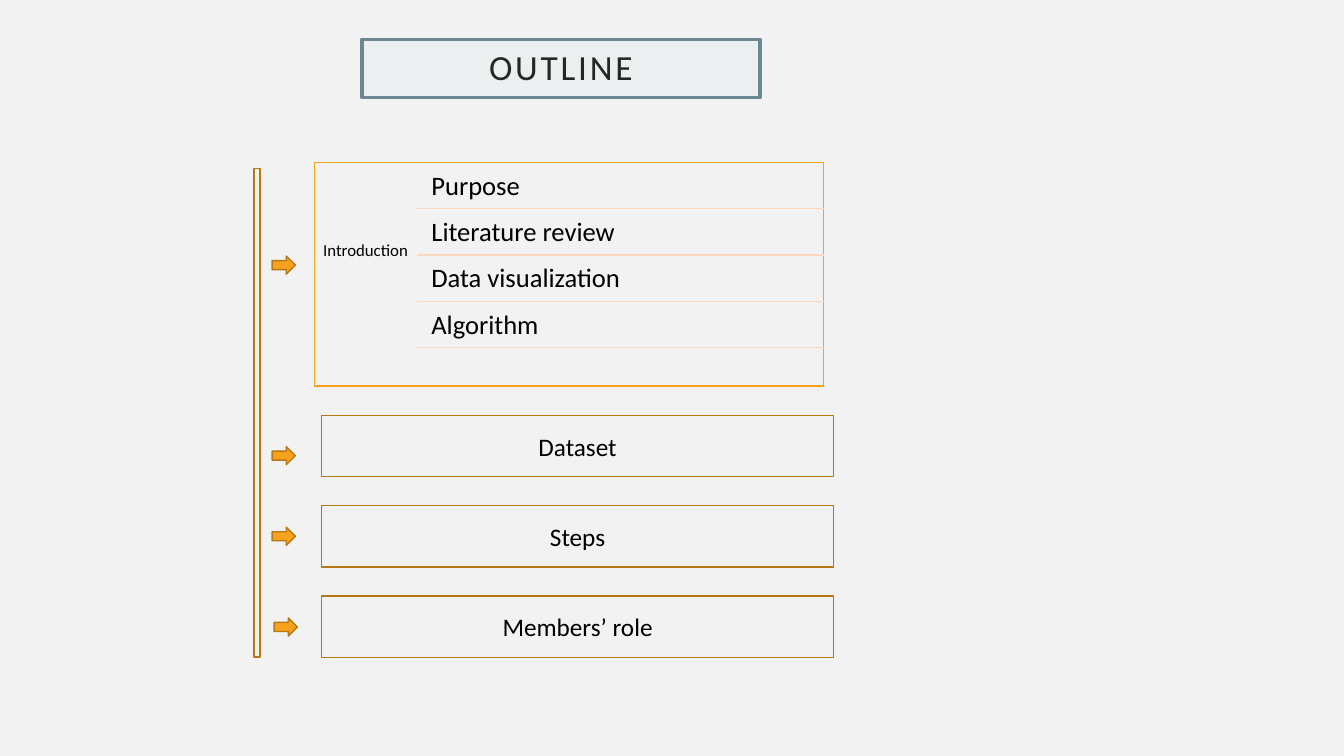
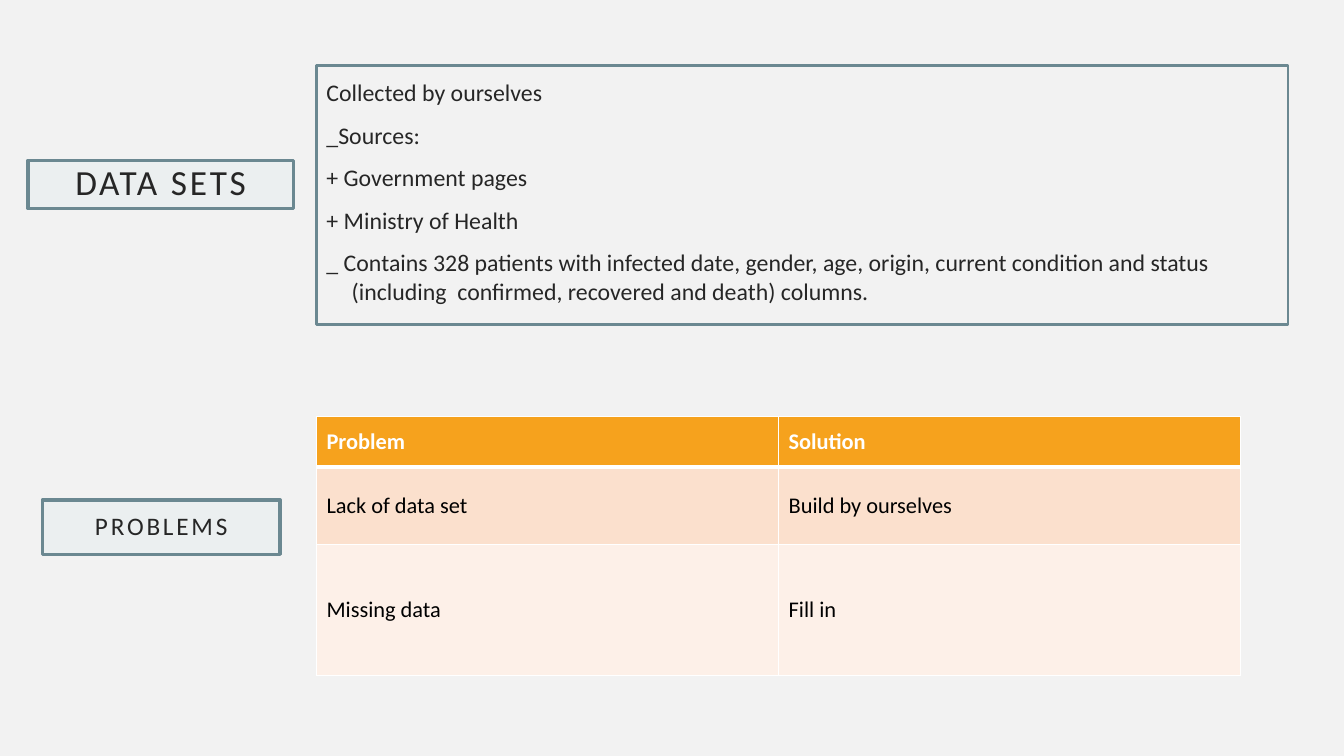
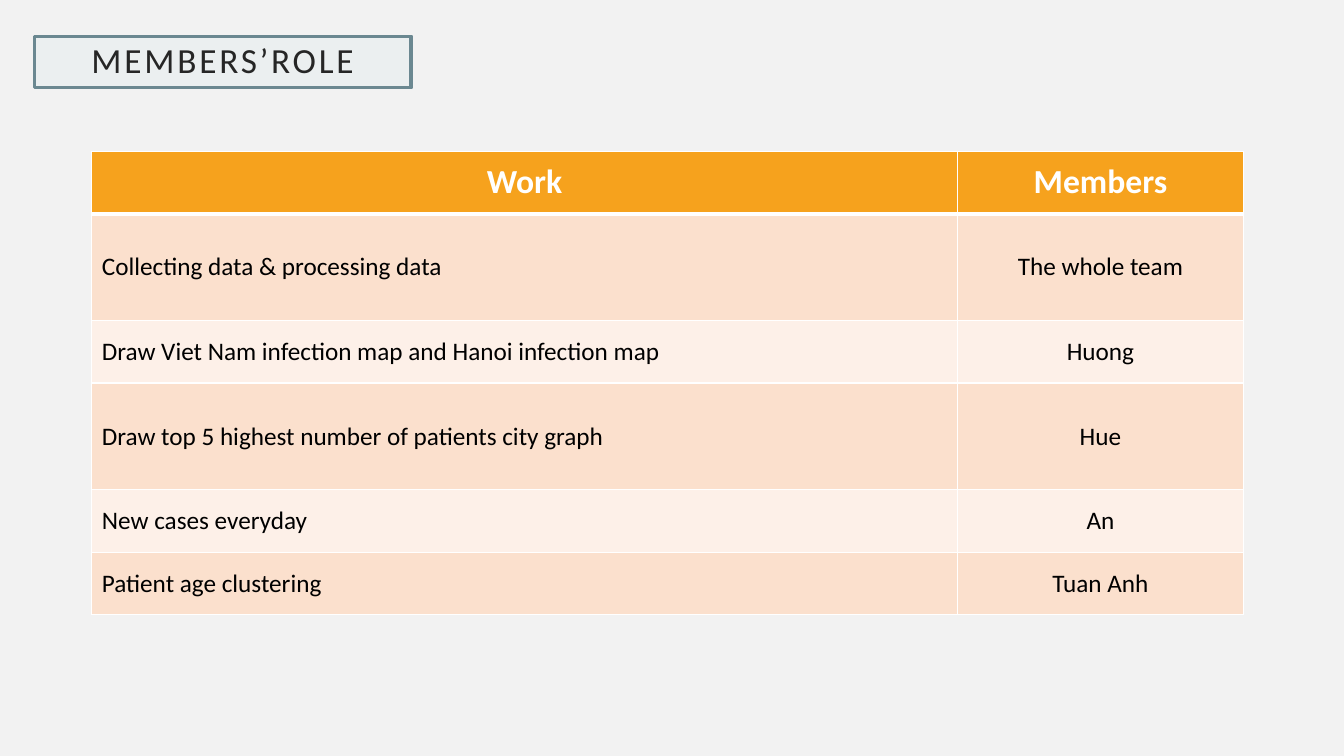
from lxml import etree
from pptx import Presentation
from pptx.dml.color import RGBColor
from pptx.enum.shapes import MSO_CONNECTOR, MSO_SHAPE
from pptx.enum.text import MSO_ANCHOR, PP_ALIGN
from pptx.oxml.ns import qn
from pptx.util import Emu, Inches, Pt

RECT, ARROW = MSO_SHAPE.RECTANGLE, MSO_SHAPE.RIGHT_ARROW
STRAIGHT = MSO_CONNECTOR.STRAIGHT
MIDDLE, TOP = MSO_ANCHOR.MIDDLE, MSO_ANCHOR.TOP
LEFT, CENTER = PP_ALIGN.LEFT, PP_ALIGN.CENTER

FONT = "Calibri"
PAPER, WHITE, BLACK, INK = "F2F2F2", "FFFFFF", "000000", "262626"
SLATE, MIST = "6B8891", "EBEFF0"
ORANGE, BROWN, PEACH = "F6A21D", "B67815", "FBD7BD"
BANDS = ["FDF0E8", "FBE0CD"]

prs = Presentation()
prs.slide_width, prs.slide_height = Inches(13.33), Inches(7.5)
# Every slide is a grid of 100 columns by 100 rows
COL, ROW = prs.slide_width / 100, prs.slide_height / 100


def rgb(hex_colour):
    return RGBColor.from_string(hex_colour)


def box(slide, area, lines=(), kind=RECT, fill=None, line=None, weight=1,
        size=18, colour=BLACK, tracking=0, frame=None, paragraph=None):
    """Add a shape, or a plain text box if kind is None; area is in grid units."""
    x, y, w, h = area
    place = [Emu(int(n)) for n in (x * COL, y * ROW, w * COL, h * ROW)]
    if kind is None:
        shape = slide.shapes.add_textbox(*place)
    else:
        shape = slide.shapes.add_shape(kind, *place)
        shape.shadow.inherit = False
    for paint, tint in ((shape.fill, fill), (shape.line.fill, line)):
        if tint:
            paint.solid()
            paint.fore_color.rgb = rgb(tint)
        else:
            paint.background()
    if line:
        shape.line.width = Pt(weight)
    text = shape.text_frame
    for name, value in {"word_wrap": True, "vertical_anchor": MIDDLE, **(frame or {})}.items():
        setattr(text, name, value)
    for i, words in enumerate(lines):
        para = text.add_paragraph() if i else text.paragraphs[0]
        for name, value in {"alignment": CENTER, **(paragraph or {})}.items():
            setattr(para, name, value)
        run = para.add_run()
        run.text = words
        for name, value in {"name": FONT, "size": Pt(size)}.items():
            setattr(run.font, name, value)
        run.font.color.rgb = rgb(colour)
        if tracking:
            run.font._element.set("spc", str(tracking))
    return shape


# Shared background and heading style
background = prs.slide_master.background.fill
background.solid()
background.fore_color.rgb = rgb(PAPER)
blank = prs.slide_layouts[6]
outline, datasets, members = [prs.slides.add_slide(blank) for _ in range(3)]

HEADING = {"fill": MIST, "line": SLATE, "weight": 2.5, "colour": INK, "tracking": 200,
           "frame": {"margin_top": 0, "margin_bottom": 0},
           "paragraph": {"line_spacing": 0.9}}
headings = [
    (outline, "OUTLINE", (26.93, 5.2, 29.63, 7.73), 25.2),
    (datasets, "DATA SETS", (2.1, 21.2, 19.73, 6.4), 25.2),
    (datasets, "PROBLEMS", (3.15, 66.13, 17.7, 7.2), 18),
    (members, "MEMBERS’ROLE", (2.55, 4.8, 28.05, 6.8), 25.2),
]
for slide, words, area, size in headings:
    box(slide, area, [words], size=size, **HEADING)

# Outline: introduction panel with its topics
panel_left, panel_right, panel_top, panel_bottom = 23.4, 61.28, 21.47, 51.07
topic_left, first_rule, topic_step = 31, 27.6, 6.13
topics = ["Purpose", "Literature review", "Data visualization", "Algorithm"]

box(outline, (panel_left, panel_top, topic_left - panel_left, 23.2), ["Introduction"],
    kind=None, size=12, frame={"margin_left": Inches(0.05), "margin_right": Inches(0.05)})

rules = [
    (panel_left, panel_top, panel_right, panel_top, ORANGE, 1),
    (panel_left, panel_bottom, panel_right, panel_bottom, ORANGE, 1),
    (panel_left, panel_top, panel_left, panel_bottom, ORANGE, 0.5),
    (panel_right, panel_top, panel_right, panel_bottom, ORANGE, 0.5),
]
for i, topic in enumerate(topics):
    rule = first_rule + i * topic_step
    box(outline, (topic_left + 0.5, rule - 5.87, 29.7, 5.87), [topic], kind=None, size=19,
        frame={"margin_left": Inches(0.08)},
        paragraph={"alignment": LEFT, "line_spacing": 0.9})
    rules.append((topic_left, rule, panel_right, rule, PEACH, 1))

for x1, y1, x2, y2, tint, weight in rules:
    rule = outline.shapes.add_connector(
        STRAIGHT, *[Emu(int(n)) for n in (x1 * COL, y1 * ROW, x2 * COL, y2 * ROW)])
    rule.line.color.rgb = rgb(tint)
    rule.line.width = Pt(weight)
    etree.SubElement(rule._element.spPr, qn("a:effectLst"))

# Outline: other sections, side bar and arrows
for i, section in enumerate(["Dataset", "Steps", "Members’ role"]):
    box(outline, (23.93, 54.93 + i * 11.95, 38.1, 8.13), [section], line=BROWN)
box(outline, (18.9, 22.27, 0.45, 64.67), line=BROWN)
for x, y in [(20.25, 33.87), (20.25, 59.07), (20.25, 69.73), (20.4, 81.73)]:
    box(outline, (x, y, 1.73, 2.4), kind=ARROW, fill=ORANGE, line=BROWN)

# Data sets: description panel
description = [
    "Collected by ourselves",
    "_Sources:",
    "+ Government pages",
    "+ Ministry of Health",
    "_ Contains 328 patients with infected date, gender, age, origin, current condition "
    "and status (including  confirmed, recovered and death) columns.",
]
panel = box(datasets, (23.55, 8.67, 72.3, 34.27), description, line=SLATE, weight=1.5,
            size=17, colour=INK,
            frame={"vertical_anchor": TOP, "margin_top": Inches(0.12),
                   "margin_right": Inches(0.2)},
            paragraph={"alignment": LEFT, "space_before": Pt(10)})
hanging = Inches(0.25)
for para in panel.text_frame.paragraphs:
    props = para._p.get_or_add_pPr()
    props.set("marL", str(hanging))
    props.set("indent", str(-hanging))

# Tables: slide, corner, column widths, row heights, header and body sizes, alignments, rows
tables = [
    (datasets, (23.55, 55.07), [34.38, 34.38], [6.67, 10.27, 17.33], (16, 16),
     [LEFT, LEFT], [LEFT, LEFT],
     [("Problem", "Solution"),
      ("Lack of data set", "Build by ourselves"),
      ("Missing data", "Fill in")]),
    (members, (6.83, 20), [64.4, 21.3], [8.27, 14.13, 8.27, 14.13, 8.27, 8.27], (24, 18),
     [CENTER, CENTER], [LEFT, CENTER],
     [("Work", "Members"),
      ("Collecting data & processing data", "The whole team"),
      ("Draw Viet Nam infection map and Hanoi infection map", "Huong"),
      ("Draw top 5 highest number of patients city graph", "Hue"),
      ("New cases everyday", "An"),
      ("Patient age clustering", "Tuan Anh")]),
]
for slide, (x, y), widths, heights, sizes, header_align, body_align, rows in tables:
    table = slide.shapes.add_table(
        len(rows), len(widths), Emu(int(x * COL)), Emu(int(y * ROW)),
        Emu(int(sum(widths) * COL)), Emu(int(sum(heights) * ROW))).table
    for column, width in zip(table.columns, widths):
        column.width = Emu(int(width * COL))
    for r, (entries, height) in enumerate(zip(rows, heights)):
        table.rows[r].height = Emu(int(height * ROW))
        header = r == 0
        for c, words in enumerate(entries):
            cell = table.cell(r, c)
            borders = {"lnL": 1, "lnR": 1, "lnT": 3 if r == 1 else 1, "lnB": 3 if header else 1}
            for side, weight in borders.items():
                edge = etree.SubElement(cell._tc.get_or_add_tcPr(), qn("a:" + side),
                                        w=str(Pt(weight)))
                stroke = etree.SubElement(edge, qn("a:solidFill"))
                etree.SubElement(stroke, qn("a:srgbClr"), val=WHITE)
            cell.fill.solid()
            cell.fill.fore_color.rgb = rgb(ORANGE if header else BANDS[r % 2])
            cell.vertical_anchor = MIDDLE
            para = cell.text_frame.paragraphs[0]
            para.alignment = (header_align if header else body_align)[c]
            run = para.add_run()
            run.text = words
            style = {"name": FONT, "size": Pt(sizes[0 if header else 1]), "bold": header}
            for name, value in style.items():
                setattr(run.font, name, value)
            run.font.color.rgb = rgb(WHITE if header else BLACK)

prs.save("out.pptx")
